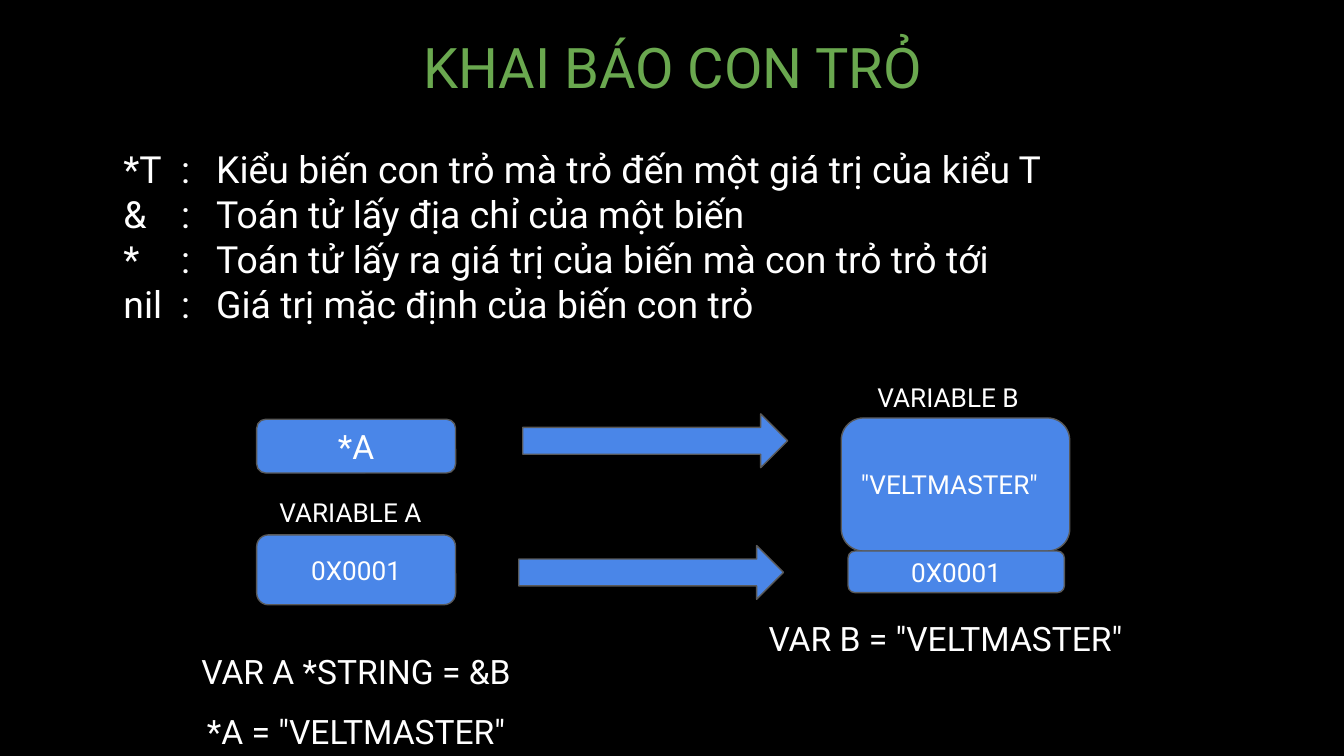
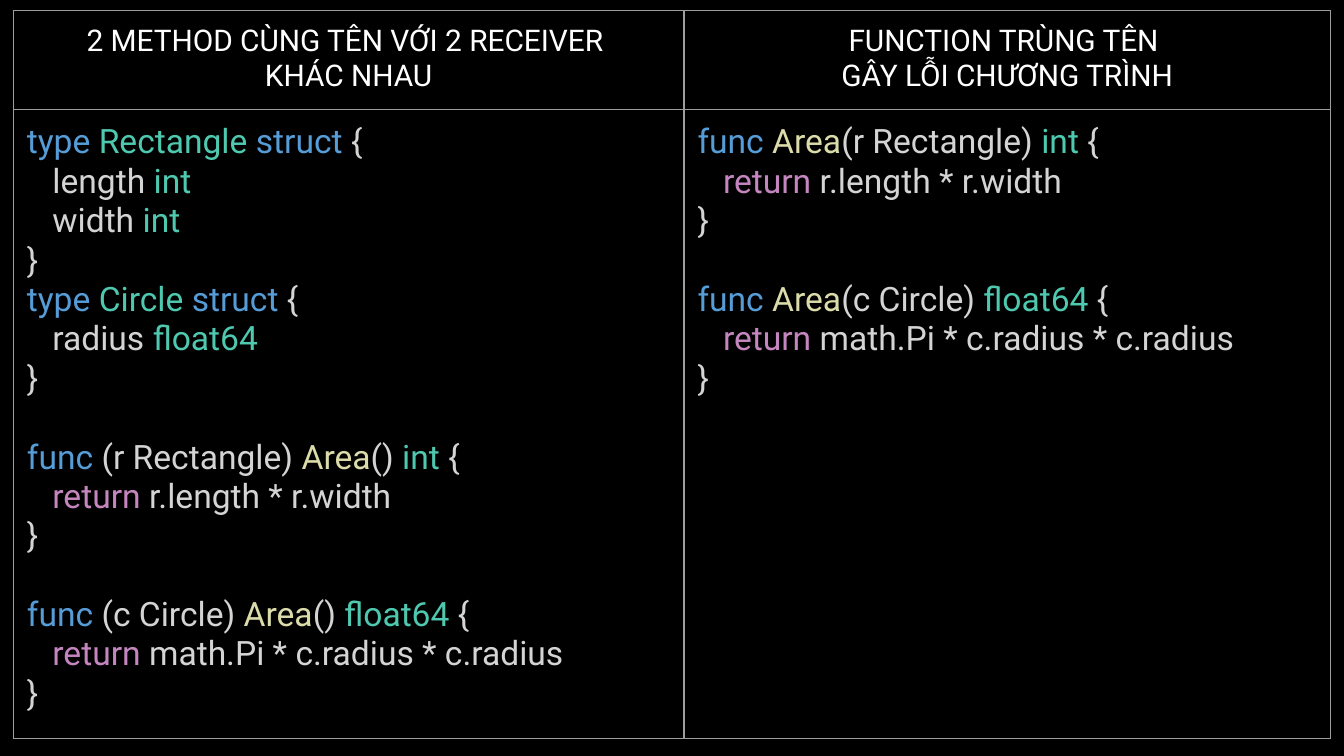
from lxml import etree
from pptx import Presentation, util as u
from pptx.dml.color import RGBColor
from pptx.enum import shapes, text
from pptx.oxml.ns import qn

COLORS = {
    "black": "000000", "white": "FFFFFF", "title": "6AA84F",
    "block": "4A86E8", "outline": "595959", "border": "9E9E9E",
    "keyword": "569CD6", "type": "4EC9B0", "plain": "D4D4D4",
    "name": "DCDCAA", "return": "C586C0",
}
FONT = "Roboto"
CENTER = text.PP_ALIGN.CENTER
LEFT = text.PP_ALIGN.LEFT
MIDDLE = text.MSO_ANCHOR.MIDDLE
TOP = text.MSO_ANCHOR.TOP


def write(frame, lines, size=14, color="white", align=LEFT, anchor=TOP, spacing=None):
    frame.word_wrap = True
    frame.vertical_anchor = anchor
    frame.margin_left = frame.margin_right = u.Inches(0.1)
    frame.margin_top = frame.margin_bottom = u.Inches(0.1)
    for index, line in enumerate(lines):
        para = frame.paragraphs[0] if index == 0 else frame.add_paragraph()
        para.alignment = align
        if spacing:
            para.line_spacing = spacing
        for tone, words in [(color, line)] if isinstance(line, str) else line:
            span = para.add_run()
            span.text = words
            span.font.name = FONT
            span.font.size = u.Pt(size)
            span.font.bold = False
            span.font.color.rgb = RGBColor.from_string(COLORS[tone])


def add_block(page, kind, place):
    block = page.shapes.add_shape(kind, *map(u.Inches, place))
    block.shadow.inherit = False
    block.fill.solid()
    block.fill.fore_color.rgb = RGBColor.from_string(COLORS["block"])
    block.line.color.rgb = RGBColor.from_string(COLORS["outline"])
    block.line.width = u.Pt(0.75)
    return block


deck = Presentation()
deck.slide_width = u.Inches(10)
deck.slide_height = u.Inches(10 * 9 / 16)
pages = []
for number in range(2):
    page = deck.slides.add_slide(deck.slide_layouts[6])
    page.background.fill.solid()
    page.background.fill.fore_color.rgb = RGBColor.from_string(COLORS["black"])
    pages.append(page)
pointer_page, method_page = pages

value = '"VELTMASTER"'
for place, label, size, align in [
    ((1.91, 3.98, 1.48, 0.52), "0X0001", 14, CENTER),
    ((6.26, 3.11, 1.7, 0.99), value, 14, LEFT),
    ((6.31, 4.1, 1.61, 0.31), "0X0001", 14, CENTER),
    ((1.91, 3.12, 1.48, 0.4), "*A", 18, CENTER),
]:
    block = add_block(pointer_page, shapes.MSO_SHAPE.ROUNDED_RECTANGLE, place)
    write(block.text_frame, [label], size=size, align=align, anchor=MIDDLE)

for left, top in [(3.86, 4.06), (3.89, 3.08)]:
    add_block(pointer_page, shapes.MSO_SHAPE.RIGHT_ARROW, (left, top, 1.97, 0.4))

definitions = [
    "*T\t:\tKiểu biến con trỏ mà trỏ đến một giá trị của kiểu T",
    "&\t:\tToán tử lấy địa chỉ của một biến",
    "*\t:\tToán tử lấy ra giá trị của biến mà con trỏ trỏ tới",
    "nil\t:\tGiá trị mặc định của biến con trỏ",
]
for place, lines, style in [
    ((1.46, 0.23, 7.09, 0.52), ["KHAI BÁO CON TRỎ"],
     dict(size=30, color="title", align=CENTER, anchor=MIDDLE)),
    ((1.98, 3.59, 1.35, 0.31), ["VARIABLE A"], {}),
    ((6.43, 2.74, 1.35, 0.31), ["VARIABLE B"], {}),
    ((1.37, 4.59, 2.56, 0.87), ["VAR A *STRING = &B", f"*A = {value}"],
     dict(size=18, align=CENTER, spacing=1.5)),
    ((5.62, 4.5, 3.3, 0.51), [f"VAR B = {value}"], dict(size=18)),
    ((0.82, 0.99, 8.36, 1.34), definitions, dict(size=20)),
]:
    box = pointer_page.shapes.add_textbox(*map(u.Inches, place))
    write(box.text_frame, lines, **style)

for para in box.text_frame.paragraphs:
    stops = etree.SubElement(para._p.get_or_add_pPr(), qn("a:tabLst"))
    for position in (0.43, 0.69):
        etree.SubElement(stops, qn("a:tab"), pos=str(u.Inches(position)), algn="l")

methods = []
for struct, fields in [
    ("Rectangle", [("length", "int"), ("width", "int")]),
    ("Circle", [("radius", "float64")]),
]:
    methods.append([("keyword", "type "), ("type", f"{struct} "),
                    ("keyword", "struct"), ("plain", " {")])
    methods += [[("plain", f"{field} "), ("type", kind)] for field, kind in fields]
    methods.append([("plain", "}")])

functions = []
for receiver, result, formula in [
    ("r Rectangle", "int", "r.length * r.width"),
    ("c Circle", "float64", "math.Pi * c.radius * c.radius"),
]:
    ending = [("type", result), ("plain", " {")]
    body = [[("return", "return"), ("plain", f" {formula}")], [("plain", "}")]]
    methods += [[("keyword", "func "), ("plain", f"({receiver}) "),
                 ("name", "Area"), ("plain", "() ")] + ending] + body
    functions += [[("keyword", "func "), ("name", "Area"),
                   ("plain", f"({receiver}) ")] + ending] + body

table = method_page.shapes.add_table(
    2, 2, u.Inches(0.1), u.Inches(0.08), u.Inches(9.8), u.Inches(0.96)).table
table.first_row = table.horz_banding = False
for column, width in zip(table.columns, (4.99, 4.81)):
    column.width = u.Inches(width)
for row, height in zip(table.rows, (0.38, 0.58)):
    row.height = u.Inches(height)

headings = [
    ["2 METHOD CÙNG TÊN VỚI 2 RECEIVER ", "KHÁC NHAU"],
    ["FUNCTION TRÙNG TÊN ", "GÂY LỖI CHƯƠNG TRÌNH"],
]
for column, (heading, code) in enumerate(zip(headings, (methods, functions))):
    write(table.cell(0, column).text_frame, heading, size=16, align=CENTER)
    frame = table.cell(1, column).text_frame
    write(frame, code, size=18)
    for index, (para, line) in enumerate(zip(frame.paragraphs, code)):
        opening = line[0][1]
        if opening == "func " and index:
            para.space_before = u.Pt(21)
        if opening not in ("type ", "func ", "}"):
            para._p.get_or_add_pPr().set("marL", str(u.Inches(0.19)))

for cell in table.iter_cells():
    cell.margin_left = cell.margin_right = u.Inches(0.1)
    cell.margin_top = cell.margin_bottom = u.Inches(0.1)
    properties = cell._tc.get_or_add_tcPr()
    for side in ("lnL", "lnR", "lnT", "lnB"):
        line = etree.SubElement(properties, qn(f"a:{side}"), w=str(u.Pt(0.75)))
        paint = etree.SubElement(line, qn("a:solidFill"))
        etree.SubElement(paint, qn("a:srgbClr"), val=COLORS["border"])
    cell.fill.background()

deck.save("out.pptx")
